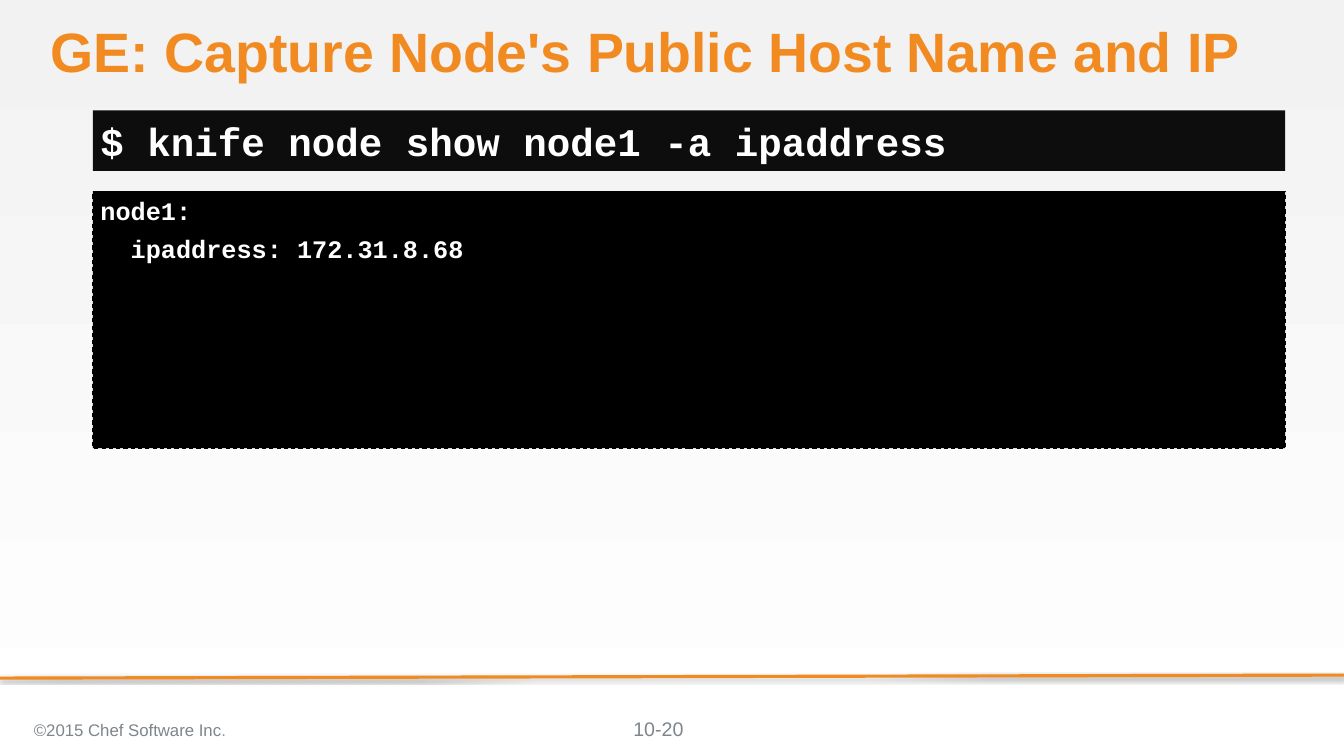
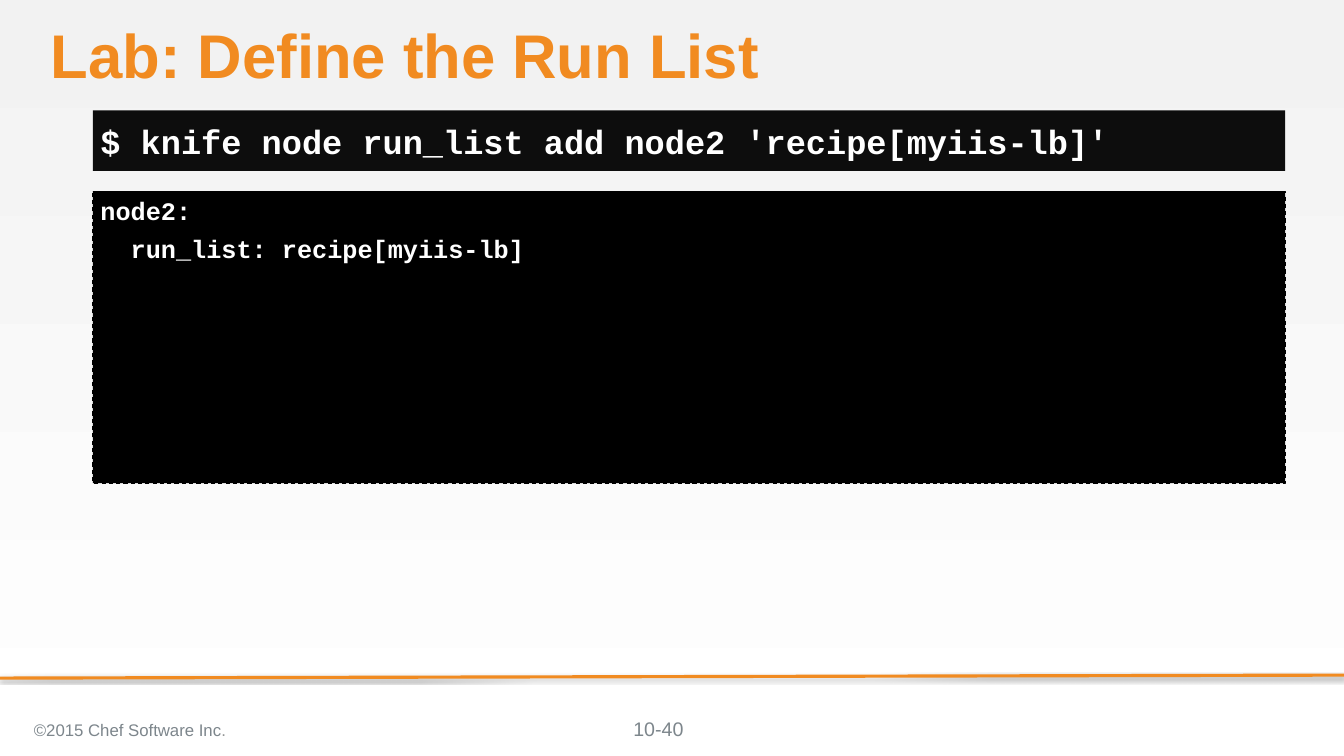
"""Builds two slides that show a shell command above its output."""
from lxml import etree
from pptx import Presentation
from pptx.dml.color import RGBColor
from pptx.enum.dml import MSO_LINE
from pptx.enum.shapes import MSO_CONNECTOR, MSO_SHAPE
from pptx.enum.text import MSO_ANCHOR, PP_ALIGN
from pptx.oxml import parse_xml
from pptx.oxml.ns import nsdecls, qn
from pptx.util import Inches, Pt

DASH = MSO_LINE.DASH
STRAIGHT = MSO_CONNECTOR.STRAIGHT
RECTANGLE = MSO_SHAPE.RECTANGLE
TOP, MIDDLE = MSO_ANCHOR.TOP, MSO_ANCHOR.MIDDLE
LEFT, CENTER = PP_ALIGN.LEFT, PP_ALIGN.CENTER

COLORS = {
    "orange": "F18B21", "black": "000000", "charcoal": "0D0D0D",
    "white": "FFFFFF", "mist": "F2F2F2", "slate": "7D868C", "gray": "929494",
}
SANS, MONO = "Arial", "Courier New"
PANEL_LEFT, PANEL_WIDTH = 6.92, 88.7
SHADOW = (
    f'<a:effectLst {nsdecls("a")}><a:outerShdw blurRad="{Pt(3.1)}" dist="{Pt(1.8)}" '
    'dir="5400000" rotWithShape="0"><a:srgbClr val="000000"><a:alpha val="35000"/>'
    '</a:srgbClr></a:outerShdw></a:effectLst>'
)


class Terminal:
    """Holds the deck style and the current slide; lengths are percent of the slide."""

    def __init__(self):
        self.deck = Presentation()
        self.deck.slide_width, self.deck.slide_height = Inches(17.78), Inches(10)
        self.page = None

    def color(self, name):
        return RGBColor.from_string(COLORS[name])

    def across(self, share):
        return round(self.deck.slide_width * share / 100)

    def down(self, share):
        return round(self.deck.slide_height * share / 100)

    def area(self, left, top, width, height):
        return self.across(left), self.down(top), self.across(width), self.down(height)

    def start(self, number):
        self.page = self.deck.slides.add_slide(self.deck.slide_layouts[6])
        fill = self.page.background.fill
        fill.gradient()
        fill.gradient_angle = 270
        for stop, name in zip(fill.gradient_stops, ("mist", "white")):
            stop.color.rgb = self.color(name)
        self.rule()
        self.footer(number)

    def style(self, span, size, name, font, bold):
        span.font.size, span.font.name, span.font.bold = Pt(size), font, bold
        span.font.color.rgb = self.color(name)

    def fill_text(self, box, text, size, name, font=SANS, bold=False,
                  anchor=TOP, align=LEFT, insets=(0.1, 0.05, 0.1, 0.05), spacing=None):
        frame = box.text_frame
        frame.text = text
        frame.word_wrap, frame.vertical_anchor = True, anchor
        (frame.margin_left, frame.margin_top,
         frame.margin_right, frame.margin_bottom) = map(Inches, insets)
        for index, para in enumerate(frame.paragraphs):
            para.alignment, para.line_spacing = align, spacing
            para.space_before = Pt(8 if index else 0)
            for span in para.runs:
                self.style(span, size, name, font, bold)

    def label(self, area, text, size, name, **options):
        box = self.page.shapes.add_textbox(*self.area(*area))
        self.fill_text(box, text, size, name, **options)
        return box

    def panel(self, top, height, text, size, fill, **options):
        box = self.page.shapes.add_shape(
            RECTANGLE, *self.area(PANEL_LEFT, top, PANEL_WIDTH, height))
        box.shadow.inherit = False
        box.fill.solid()
        box.fill.fore_color.rgb = self.color(fill)
        box.line.fill.background()
        self.fill_text(box, text, size, "white", font=MONO, bold=True, **options)
        return box

    def rule(self):
        line = self.page.shapes.add_connector(
            STRAIGHT, self.across(100), self.down(89.3), 0, self.down(89.7))
        line.line.color.rgb = self.color("orange")
        line.line.width = Pt(3)
        etree.strip_elements(line.element.spPr, qn("a:effectLst"))
        line.element.spPr.append(parse_xml(SHADOW))

    def footer(self, number):
        notice = self.label((1.97, 93.8, 34.93, 5.6), "©2015 Chef Software Inc",
                            16, "slate", anchor=MIDDLE)
        period = notice.text_frame.paragraphs[0].add_run()
        period.text = "."
        self.style(period, 16, "gray", SANS, False)
        self.label((37.74, 93.8, 22.5, 5.3), number, 18.7, "slate",
                   anchor=MIDDLE, align=CENTER)

    def title(self, text, size):
        self.label((3.77, 3.3, 91.84, 9.1), text, size, "orange", bold=True,
                   insets=(0, 0, 0, 0), spacing=0.9)

    def command(self, text, size):
        self.panel(14.6, 8, text, size, "charcoal", anchor=MIDDLE, insets=(0.1, 0, 0, 0))

    def output(self, text, height):
        box = self.panel(25.3, height, text, 24, "black")
        box.line.color.rgb = self.color("black")
        box.line.width, box.line.dash_style = Pt(1), DASH


def main():
    terminal = Terminal()

    terminal.start("10-20")
    terminal.output("node1:\n  ipaddress: 172.31.8.68", 34)
    terminal.title("GE: Capture Node's Public Host Name and IP", 52.8)
    terminal.command("$ knife node show node1 -a ipaddress", 37.3)

    terminal.start("10-40")
    terminal.output("node2:\n  run_list: recipe[myiis-lb]", 38.6)
    terminal.title("Lab: Define the Run List", 58.7)
    terminal.command("$ knife node run_list add node2 'recipe[myiis-lb]'", 32)

    terminal.deck.save("out.pptx")


if __name__ == "__main__":
    main()
